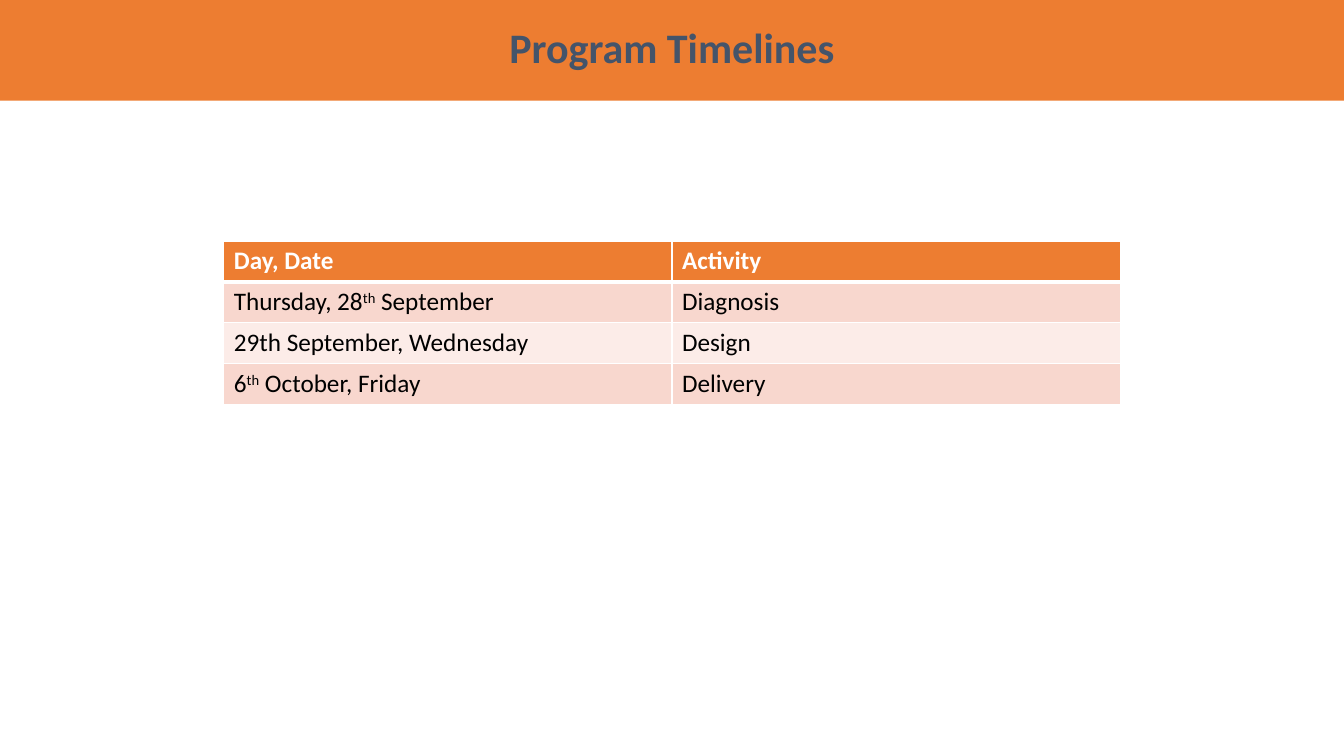
from lxml import etree
from pptx import Presentation
from pptx.dml.color import RGBColor
from pptx.enum.shapes import MSO_SHAPE
from pptx.enum.text import MSO_ANCHOR, PP_ALIGN
from pptx.oxml.ns import qn
from pptx.util import Inches, Pt

RECTANGLE = MSO_SHAPE.RECTANGLE
MIDDLE = MSO_ANCHOR.MIDDLE
CENTER = PP_ALIGN.CENTER
LEFT = PP_ALIGN.LEFT

ORANGE = RGBColor(0xED, 0x7D, 0x31)
SLATE = RGBColor(0x44, 0x54, 0x6A)
WHITE = RGBColor(0xFF, 0xFF, 0xFF)
BLACK = RGBColor(0, 0, 0)
PEACH = RGBColor(0xF8, 0xD7, 0xCE)
PALE_PEACH = RGBColor(0xFC, 0xEC, 0xE8)


def write_text(frame, text, size=18, color=BLACK, bold=False, align=LEFT, spacing=1.0):
    paragraph = frame.paragraphs[0]
    paragraph.alignment = align
    paragraph.line_spacing = spacing
    for index, part in enumerate(text.split("^")):
        run = paragraph.add_run()
        run.text = part
        run.font.name = "Calibri"
        run.font.size = Pt(size)
        run.font.bold = bold
        run.font.color.rgb = color
        if index % 2:
            run.font._element.set("baseline", "30000")


def add_borders(cell, bottom_width, top_width):
    properties = cell._tc.get_or_add_tcPr()
    widths = {"a:lnL": 1, "a:lnR": 1, "a:lnT": top_width, "a:lnB": bottom_width}
    for position, (side, width) in enumerate(widths.items()):
        border = etree.Element(qn(side), w=str(Pt(width)))
        fill = etree.SubElement(border, qn("a:solidFill"))
        etree.SubElement(fill, qn("a:srgbClr"), val=str(WHITE))
        properties.insert(position, border)


prs = Presentation()
prs.slide_width = Inches(13.33)
prs.slide_height = Inches(7.5)
slide = prs.slides.add_slide(prs.slide_layouts[6])

title_band = slide.shapes.add_shape(RECTANGLE, 0, 0, Inches(13.33), Inches(1))
title_band.shadow.inherit = False
title_band.fill.solid()
title_band.fill.fore_color.rgb = ORANGE
title_band.line.fill.background()
title_band.text_frame.word_wrap = True
title_band.text_frame.vertical_anchor = MIDDLE
write_text(title_band.text_frame, "Program Timelines", size=30, color=SLATE,
           bold=True, align=CENTER, spacing=0.9)

schedule = [
    ("Day, Date", "Activity"),
    ("Thursday, 28^th^ September", "Diagnosis"),
    ("29th September, Wednesday", "Design"),
    ("6^th^ October, Friday", "Delivery"),
]
row_fills = [ORANGE, PEACH, PALE_PEACH, PEACH]

timeline = slide.shapes.add_table(len(schedule), 2, Inches(2.22), Inches(2.39),
                                  Inches(8.89), Inches(1.62)).table
for row_index, (entries, row_fill) in enumerate(zip(schedule, row_fills)):
    is_header = row_index == 0
    for column_index, entry in enumerate(entries):
        cell = timeline.cell(row_index, column_index)
        cell.fill.solid()
        cell.fill.fore_color.rgb = row_fill
        add_borders(cell, bottom_width=3 if is_header else 1,
                    top_width=3 if row_index == 1 else 1)
        write_text(cell.text_frame, entry, color=WHITE if is_header else BLACK, bold=is_header)

prs.save("out.pptx")
